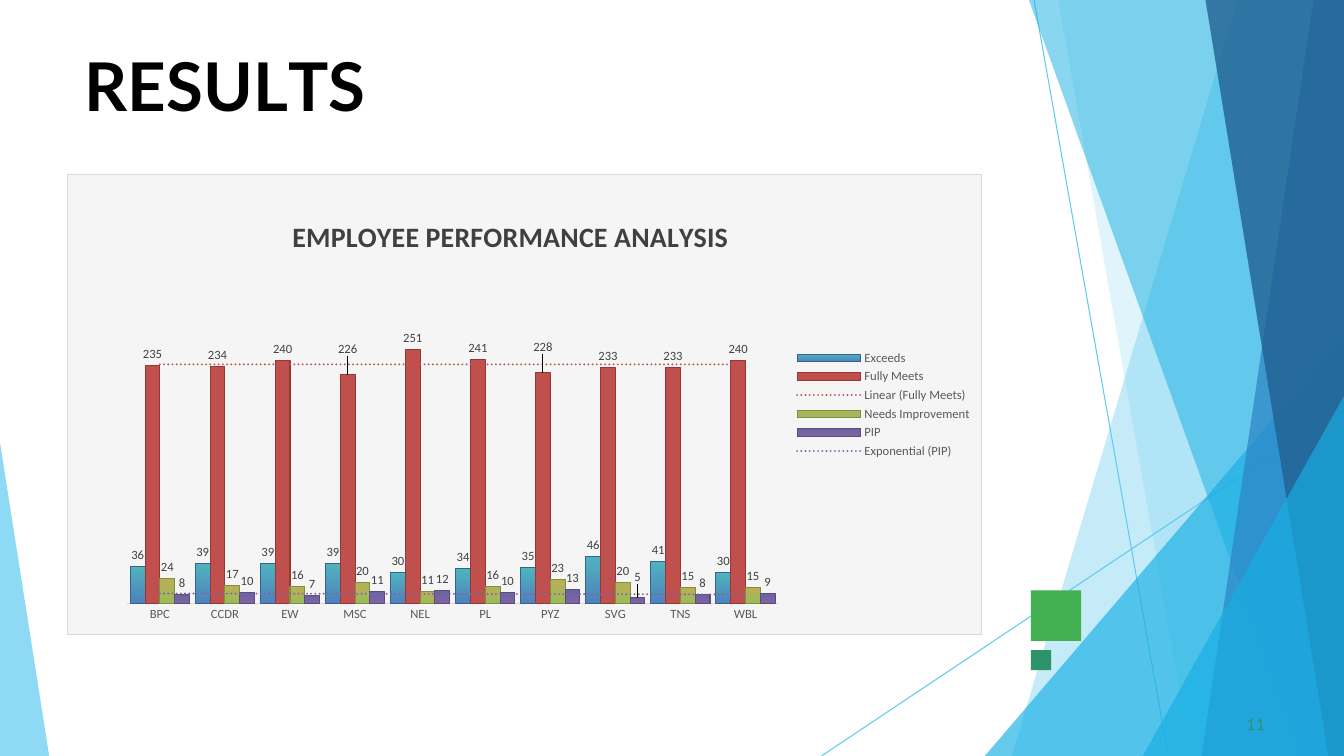
import lxml.etree
import pptx
import pptx.chart.data
import pptx.dml.color
import pptx.enum.chart
import pptx.enum.shapes
import pptx.oxml
import pptx.oxml.ns
import pptx.util

Cm, Pt = pptx.util.Cm, pptx.util.Pt
qn = pptx.oxml.ns.qn
NAMESPACES = pptx.oxml.ns.nsdecls("c", "a")
WIDTH, HEIGHT = 33.87, 19.05


def paint(color_format, color):
    color_format.rgb = pptx.dml.color.RGBColor.from_string(color)


def write(left, top, width, height, pieces, size, color, bold):
    """Add a one-line text box from (text, letter spacing in 1/100 pt) pieces."""
    box = page.shapes.add_textbox(Cm(left), Cm(top), Cm(width), Cm(height))
    frame = box.text_frame
    frame.word_wrap = True
    frame.margin_left = frame.margin_right = frame.margin_bottom = 0
    frame.margin_top = Cm(0.03)
    para = frame.paragraphs[0]
    para.space_before = Pt(1)
    for text, spacing in pieces:
        span = para.add_run()
        span.text = text
        span.font.name = "Lato"
        span.font.size = Pt(size)
        span.font.bold = bold
        paint(span.font.color, color)
        span.font._element.set("spc", str(spacing))


deck = pptx.Presentation()
deck.slide_width, deck.slide_height = Cm(WIDTH), Cm(HEIGHT)
page = deck.slides.add_slide(deck.slide_layouts[6])

# Thin background lines
for x1, y1, x2, y2 in [(26.06, 0, 29.44, HEIGHT), (WIDTH, 10.26, 20.7, HEIGHT)]:
    ray = page.shapes.add_connector(
        pptx.enum.shapes.MSO_CONNECTOR.STRAIGHT, Cm(x1), Cm(y1), Cm(x2), Cm(y2))
    paint(ray.line.color, "5FCAEE")
    ray.line.width = Pt(0.75)
    lxml.etree.SubElement(ray._element.spPr, qn("a:effectLst"))

# Translucent facets: corners, colour, opacity in percent
right_top, right_bottom = (WIDTH, 0), (WIDTH, HEIGHT)
facets = [
    ([right_top, (31.19, 0), (25.5, HEIGHT), right_bottom], "5FCAEE", 36),
    ([right_top, (26.67, 0), (30.02, HEIGHT), right_bottom], "5FCAEE", 20),
    ([(WIDTH, 8.46), (24.82, HEIGHT), right_bottom], "17AFE3", 66),
    ([right_top, (25.93, 0), (32.79, HEIGHT), right_bottom], "17AFE3", 50),
    ([right_top, (33.1, 0), (30.28, HEIGHT), right_bottom], "2D83C3", 70),
    ([right_top, (30.38, 0), (33.48, HEIGHT), right_bottom], "226192", 80),
    ([(WIDTH, 9.98), (28.8, HEIGHT), right_bottom], "17AFE3", 66),
    ([(0, 11.15), (0, HEIGHT), (1.24, HEIGHT)], "5FCAEE", 70),
]
for corners, color, opacity in facets:
    points = [(Cm(x), Cm(y)) for x, y in corners]
    outline = page.shapes.build_freeform(*points[0])
    outline.add_line_segments(points[1:], close=True)
    facet = outline.convert_to_shape()
    facet.shadow.inherit = False
    facet.line.fill.background()
    facet.fill.solid()
    paint(facet.fill.fore_color, color)
    tint = facet._element.spPr.find(".//" + qn("a:srgbClr"))
    lxml.etree.SubElement(tint, qn("a:alpha")).set("val", str(opacity * 1000))

for top, side, color in [(14.88, 1.27, "42AF51"), (16.38, 0.51, "2D936B")]:
    square = page.shapes.add_shape(
        pptx.enum.shapes.MSO_SHAPE.RECTANGLE, Cm(25.98), Cm(top), Cm(side), Cm(side))
    square.shadow.inherit = False
    square.line.fill.background()
    square.fill.solid()
    paint(square.fill.fore_color, color)

write(2.13, 1.09, 22, 2.11,
      [("R", 0), ("E", -40), ("S", 10), ("U", -30), ("L", -400), ("TS", 0)],
      48, "000000", True)
write(31.42, 17.98, 0.64, 0.53, [("11", 10)], 11, "2D936B", False)

# Chart: name, values, gradient top and bottom, outline, trend line type,
# and how far to lift the labels that would sit on the trend line
ratings = [
    ("Exceeds", [36, 39, 39, 39, 30, 34, 35, 46, 41, 30],
     "4FB4BD", "4F81BD", "376092", None, {}),
    ("Fully Meets", [235, 234, 240, 226, 251, 241, 228, 233, 233, 240],
     "C0504D", "C0504D", "953735", "linear", {226: -0.03, 228: -0.03}),
    ("Needs Improvement", [24, 17, 16, 20, 11, 16, 23, 20, 15, 15],
     "BBAE59", "9BBB59", "77933C", None, {}),
    ("PIP", [8, 10, 7, 11, 12, 10, 13, 5, 8, 9],
     "6465A2", "8064A2", "604A7B", "exp", {5: -0.02}),
]
data = pptx.chart.data.CategoryChartData()
data.categories = ["BPC", "CCDR", "EW", "MSC", "NEL", "PL", "PYZ", "SVG", "TNS", "WBL"]
for name, values, *_ in ratings:
    data.add_series(name, values)
chart = page.shapes.add_chart(
    pptx.enum.chart.XL_CHART_TYPE.COLUMN_CLUSTERED,
    Cm(1.7), Cm(4.39), Cm(23.06), Cm(11.61), data).chart
chart.font.name = "Calibri"
chart.font.size = Pt(10)

chart.has_title = True
span = chart.chart_title.text_frame.paragraphs[0].add_run()
span.text = "EMPLOYEE PERFORMANCE ANALYSIS"
span.font.name = "Calibri"
span.font.size = Pt(20)
span.font.bold = True
paint(span.font.color, "404040")
chart.chart_title.include_in_layout = False

chart.has_legend = True
chart.legend.position = pptx.enum.chart.XL_LEGEND_POSITION.RIGHT
chart.legend.include_in_layout = False
names_axis = chart.category_axis
names_axis.major_tick_mark = pptx.enum.chart.XL_TICK_MARK.NONE
paint(names_axis.format.line.color, "D9D9D9")
names_axis.format.line.width = Pt(0.75)
for font in (chart.legend.font, names_axis.tick_labels.font):
    font.name = "Calibri"
    font.size = Pt(9)
    paint(font.color, "595959")
count_axis = chart.value_axis
count_axis.minimum_scale, count_axis.maximum_scale = 0, 300
count_axis.has_major_gridlines = False
count_axis.visible = False

# Columns wide enough to carry their own labels
plot = chart.plots[0]
plot.vary_by_categories = False
plot.gap_width, plot.overlap = 40, 0
for series, (_, values, upper, lower, edge, trend, lifts) in zip(plot.series, ratings):
    fill = series.format.fill
    fill.gradient()
    fill.gradient_angle = 270
    for stop, color in zip(fill.gradient_stops, (upper, lower)):
        paint(stop.color, color)
    paint(series.format.line.color, edge)
    series.format.line.width = Pt(0.75)
    labels = series.data_labels
    labels.show_value = True
    lifted = [series.points[values.index(value)].data_label for value in lifts]
    for label in [labels, *lifted]:
        label.position = pptx.enum.chart.XL_LABEL_POSITION.OUTSIDE_END
        label.font.name = "Calibri"
        label.font.size = Pt(9)
        paint(label.font.color, "404040")
    for value, lift in lifts.items():
        for index in labels._element.findall(f"{qn('c:dLbl')}/{qn('c:idx')}"):
            if index.get("val") == str(values.index(value)):
                index.addnext(pptx.oxml.parse_xml(
                    f'<c:layout {NAMESPACES}><c:manualLayout><c:x val="0"/>'
                    f'<c:y val="{lift}"/></c:manualLayout></c:layout>'))
    if trend:
        series._element.find(qn("c:cat")).addprevious(pptx.oxml.parse_xml(
            f'<c:trendline {NAMESPACES}><c:spPr><a:ln w="19050" cap="rnd"><a:solidFill>'
            f'<a:srgbClr val="{lower}"/></a:solidFill><a:prstDash val="sysDot"/></a:ln>'
            f'</c:spPr><c:trendlineType val="{trend}"/><c:dispRSqr val="0"/>'
            f'<c:dispEq val="0"/></c:trendline>'))

# Fixed places for the title and the plot, as fractions of the chart
chart_root = chart._chartSpace
title_place = '<c:xMode val="edge"/><c:yMode val="edge"/><c:x val="0.24"/><c:y val="0.08"/>'
plot_place = ('<c:layoutTarget val="inner"/><c:xMode val="edge"/><c:yMode val="edge"/>'
              '<c:x val="0.065"/><c:y val="0.272"/><c:w val="0.712"/><c:h val="0.66"/>')
for tag, place in [("c:title", title_place), ("c:plotArea", plot_place)]:
    part = chart_root.chart.find(qn(tag))
    for automatic in part.findall(qn("c:layout")):
        part.remove(automatic)
    layout = pptx.oxml.parse_xml(
        f"<c:layout {NAMESPACES}><c:manualLayout>{place}</c:manualLayout></c:layout>")
    part.insert(1 if tag == "c:title" else 0, layout)

chart_root.find(qn("c:txPr")).addprevious(pptx.oxml.parse_xml(
    f'<c:spPr {NAMESPACES}><a:solidFill><a:srgbClr val="F5F5F5"/></a:solidFill>'
    f'<a:ln w="9525"><a:solidFill><a:srgbClr val="D9D9D9"/></a:solidFill></a:ln></c:spPr>'))

deck.save("out.pptx")
